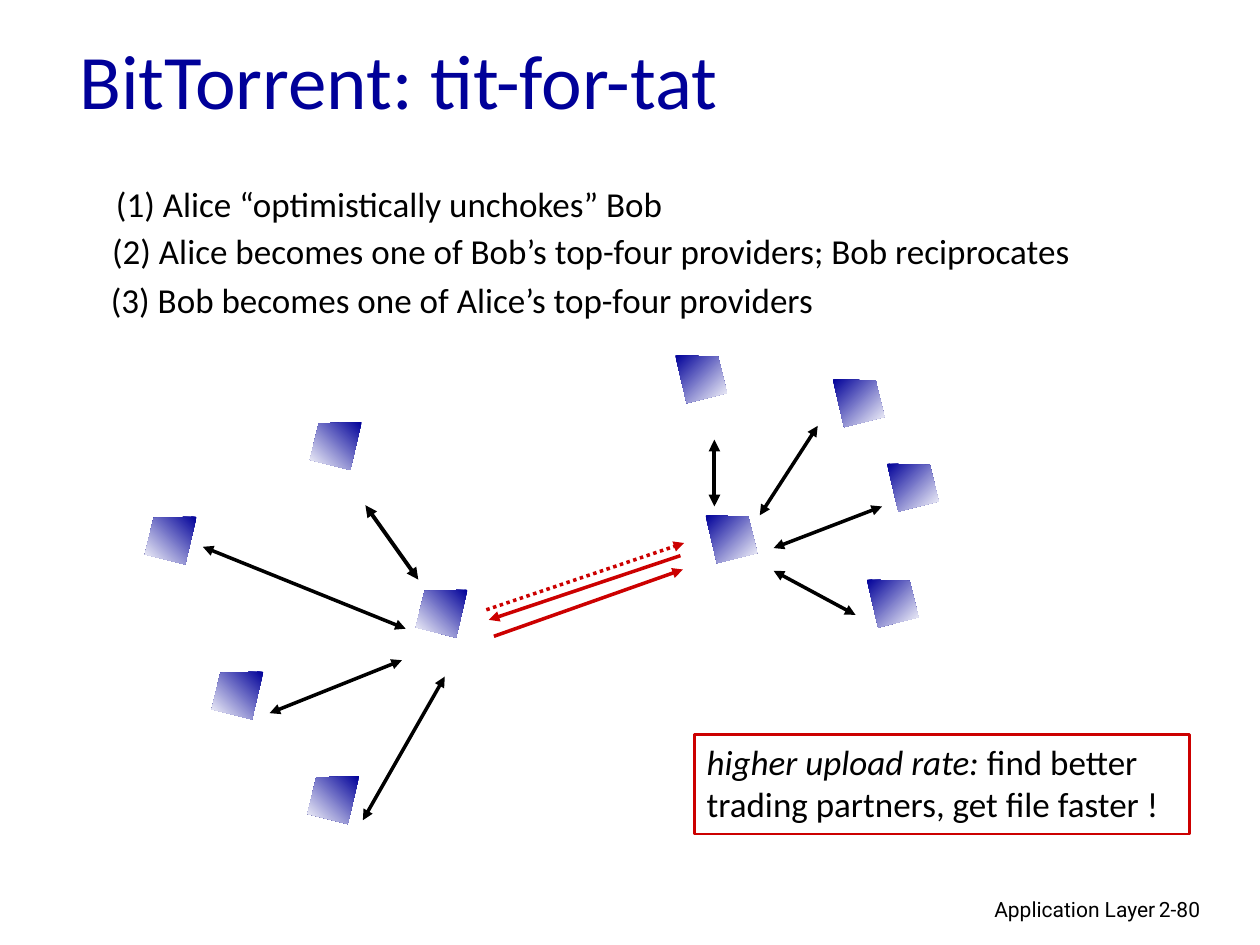
import pptx
import pptx.util
import pptx.dml.color
import pptx.enum.dml
import pptx.enum.shapes
import pptx.enum.text
import pptx.oxml
import pptx.oxml.ns

NAVY, RED, BLACK, WHITE = "000099", "CC0000", "000000", "FFFFFF"

# Content: places are in inches on a 10 by 7.5 slide
TITLE = "BitTorrent: tit-for-tat"
STEPS = [
    ("(1) Alice “optimistically unchokes” Bob", 0.92, 1.45, 4.45),
    ("(2) Alice becomes one of Bob’s top-four providers; Bob reciprocates", 0.89, 1.82, 7.77),
    ("(3) Bob becomes one of Alice’s top-four providers", 0.88, 2.21, 5.7),
]
NOTE = [("higher upload rate:", True), (" find better trading partners, get file faster !", False)]
FOOTER = [("Application Layer", 6.1, 3.17, "RIGHT"), ("2-80", 9.1, 0.74, "LEFT")]

# Peers by left and top; Alice's group is mirrored
PEER_OUTLINE = [(0, 0), (0.34, 0.01), (0.41, 0.3), (0.09, 0.38)]
PEER_WIDTH = 0.41
ALICE_GROUP = [(1.68, 5.33), (2.44, 6.16), (1.15, 4.1), (3.3, 4.68), (2.46, 3.35)]
BOB_GROUP = [(6.88, 4.6), (7.04, 3.68), (6.61, 3.01), (5.6, 4.09), (5.36, 2.82)]

# Existing exchanges: start, end, width
EXCHANGES = [
    ((3.22, 4.99), (1.61, 4.34), 2), ((3.19, 5.24), (2.14, 5.66), 2),
    ((3.53, 5.37), (2.88, 6.51), 2), ((6.03, 4.09), (6.49, 3.38), 2),
    ((6.14, 4.35), (7, 4.02), 2), ((6.14, 4.53), (6.79, 4.88), 2),
    ((5.67, 3.49), (5.67, 4.02), 2.25), ((2.9, 4.01), (3.32, 4.6), 2.25),
]
# Alice and Bob: start, end, dotted
UNCHOKES = [
    ((3.86, 4.84), (5.43, 4.31), True),
    ((5.4, 4.41), (3.88, 4.92), False),
    ((3.92, 5.05), (5.42, 4.52), False),
]


def color(value):
    return pptx.dml.color.RGBColor.from_string(value)


def inches(*values):
    return [pptx.util.Inches(value) for value in values]


def format_runs(paragraph, font_name, size, value):
    for run in paragraph.runs:
        run.font.name = font_name
        run.font.size = pptx.util.Pt(size)
        run.font.color.rgb = color(value)


def add_text(slide, text, left, top, width, height, font_name, size):
    frame = slide.shapes.add_textbox(*inches(left, top, width, height)).text_frame
    frame.text = text
    format_runs(frame.paragraphs[0], font_name, size, BLACK)
    return frame


def add_arrow(slide, start, end, width, value, ends, dotted=False):
    arrow = slide.shapes.add_connector(
        pptx.enum.shapes.MSO_CONNECTOR.STRAIGHT, *inches(*start, *end))
    arrow.line.width = pptx.util.Pt(width)
    arrow.line.color.rgb = color(value)
    if dotted:
        arrow.line.dash_style = pptx.enum.dml.MSO_LINE.ROUND_DOT
    namespace = pptx.oxml.ns.nsdecls("a")
    properties = arrow._element.spPr
    for name in ends:
        properties.find(pptx.oxml.ns.qn("a:ln")).append(
            pptx.oxml.parse_xml(f'<a:{name} {namespace} type="triangle"/>'))
    properties.append(pptx.oxml.parse_xml(f"<a:effectLst {namespace}/>"))


def add_peer(slide, left, top, mirrored):
    points = [inches(left + (PEER_WIDTH - x if mirrored else x), top + y)
              for x, y in PEER_OUTLINE]
    builder = slide.shapes.build_freeform(*points[0])
    builder.add_line_segments(points[1:], close=True)
    peer = builder.convert_to_shape()
    peer.shadow.inherit = False
    peer.line.fill.background()
    peer.fill.gradient()
    peer.fill.gradient_angle = 225 if mirrored else 315
    for stop, value in zip(peer.fill.gradient_stops, (NAVY, WHITE)):
        stop.color.rgb = color(value)


def add_note(slide):
    box = slide.shapes.add_shape(pptx.enum.shapes.MSO_SHAPE.RECTANGLE,
                                 *inches(5.51, 5.83, 3.93, 0.79))
    box.shadow.inherit = False
    box.fill.background()
    box.line.color.rgb = color(RED)
    box.line.width = pptx.util.Pt(1.5)
    box.text_frame.word_wrap = True
    box.text_frame.vertical_anchor = pptx.enum.text.MSO_ANCHOR.TOP
    paragraph = box.text_frame.paragraphs[0]
    paragraph.alignment = pptx.enum.text.PP_ALIGN.LEFT
    for text, italic in NOTE:
        run = paragraph.add_run()
        run.text = text
        run.font.italic = italic
    format_runs(paragraph, "Calibri", 20, BLACK)


def main():
    presentation = pptx.Presentation()
    presentation.slide_width, presentation.slide_height = inches(10, 7.5)
    slide = presentation.slides.add_slide(presentation.slide_layouts[5])

    # Title
    title = slide.shapes.title
    title.left, title.top, title.width, title.height = inches(0.53, 0, 8.5, 1.25)
    title.text_frame.text = TITLE
    title.text_frame.vertical_anchor = pptx.enum.text.MSO_ANCHOR.MIDDLE
    title.text_frame.paragraphs[0].alignment = pptx.enum.text.PP_ALIGN.LEFT
    format_runs(title.text_frame.paragraphs[0], "Calibri", 44, NAVY)

    # Footer
    for text, left, width, alignment in FOOTER:
        frame = add_text(slide, text, left, 7.07, width, 0.3, "Roboto", 12)
        frame.word_wrap = True
        frame.paragraphs[0].alignment = pptx.enum.text.PP_ALIGN[alignment]

    # Steps
    for text, left, top, width in STEPS:
        frame = add_text(slide, text, left, top, width, 0.33, "Calibri", 20)
        frame.margin_left = frame.margin_right = frame.margin_top = frame.margin_bottom = 0
        frame.word_wrap = False

    # Arrows between peers
    for start, end, width in EXCHANGES:
        add_arrow(slide, start, end, width, BLACK, ("headEnd", "tailEnd"))
    for start, end, dotted in UNCHOKES:
        add_arrow(slide, start, end, 2, RED, ("tailEnd",), dotted)

    # Peers and note
    for group, mirrored in ((ALICE_GROUP, True), (BOB_GROUP, False)):
        for left, top in group:
            add_peer(slide, left, top, mirrored)
    add_note(slide)

    presentation.save("out.pptx")


if __name__ == "__main__":
    main()
